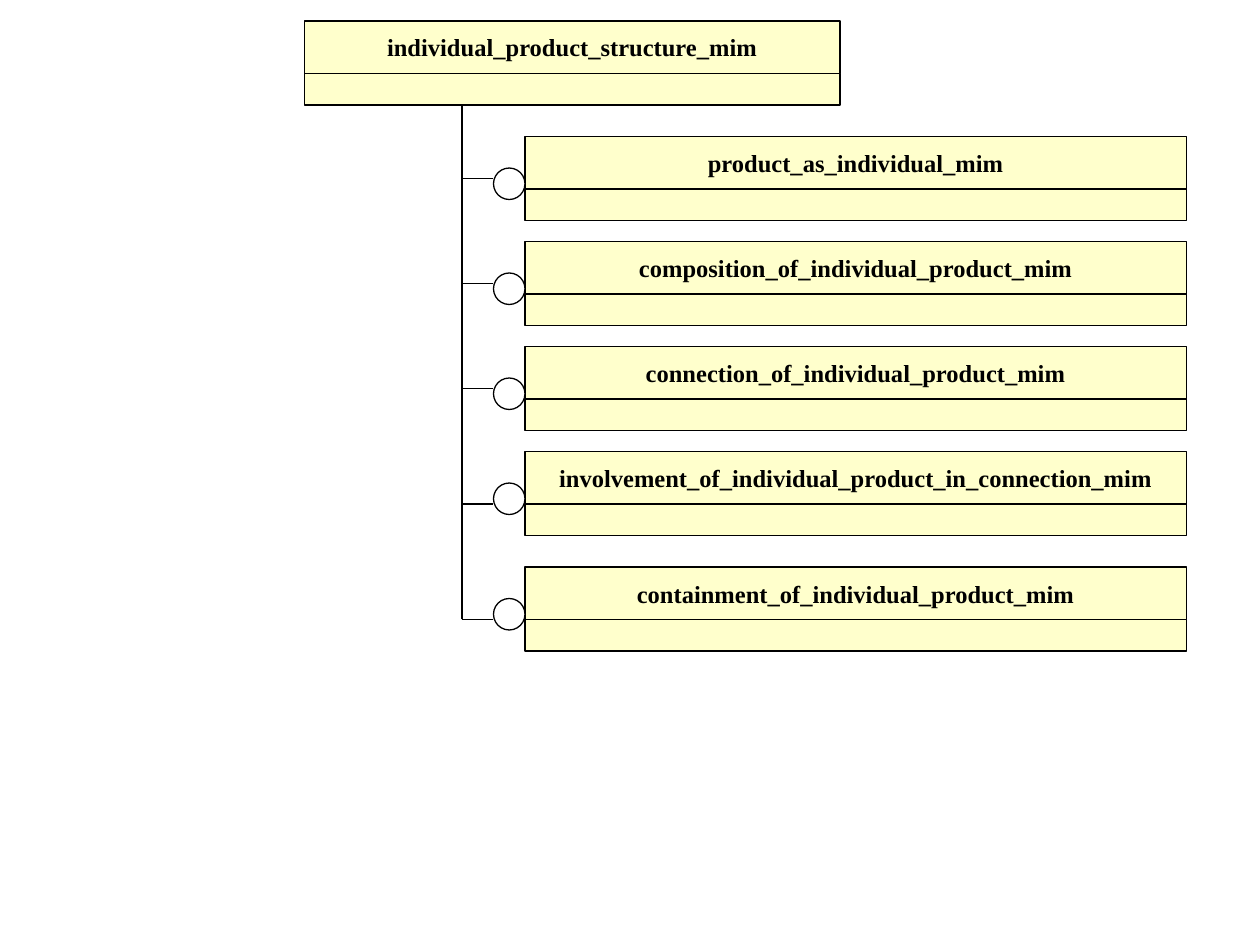
import pptx
import pptx.dml.color
import pptx.enum.shapes
import pptx.enum.text
import pptx.oxml.ns
import pptx.util
from lxml import etree

RGBColor = pptx.dml.color.RGBColor
Cm = pptx.util.Cm
MSO_SHAPE = pptx.enum.shapes.MSO_SHAPE

BLACK = RGBColor(0x00, 0x00, 0x00)
WHITE = RGBColor(0xFF, 0xFF, 0xFF)
YELLOW = RGBColor(0xFF, 0xFF, 0xCC)

# Diagram grid, in steps of a twelfth of an inch
HEAD_H, BODY_H = 5, 3
ROOT = ("individual_product_structure_mim", 29, 2, 51)
CHILD_X, CHILD_W = 50, 63
TRUNK_X, TRUNK_TOP = 44, 10
CIRCLE_D, CIRCLE_DROP = 3, 3

# Name, top of the box, height of its branch line
CHILDREN = [
    ("product_as_individual_mim", 13, 17),
    ("composition_of_individual_product_mim", 23, 27),
    ("connection_of_individual_product_mim", 33, 37),
    ("involvement_of_individual_product_in_connection_mim", 43, 48),
    ("containment_of_individual_product_mim", 54, 59),
]


def grid(n):
    return Cm(n * 2.54 / 12)


def add_outlined(shapes, kind, x, y, w, h, fill):
    sp = shapes.add_shape(kind, grid(x), grid(y), grid(w), grid(h))
    sp.shadow.inherit = False
    sp.fill.solid()
    sp.fill.fore_color.rgb = fill
    sp.line.color.rgb = BLACK
    sp.line.width = pptx.util.Pt(0.75)
    return sp


def add_module(slide, name, x, y, w):
    """A named header with an empty compartment below, as one group."""
    shapes = slide.shapes.add_group_shape().shapes
    head = add_outlined(shapes, MSO_SHAPE.RECTANGLE, x, y, w, HEAD_H, YELLOW)
    add_outlined(shapes, MSO_SHAPE.RECTANGLE, x, y + HEAD_H, w, BODY_H, YELLOW)
    tf = head.text_frame
    tf.word_wrap = False
    tf.vertical_anchor = pptx.enum.text.MSO_ANCHOR.MIDDLE
    p = tf.paragraphs[0]
    p.alignment = pptx.enum.text.PP_ALIGN.CENTER
    r = p.add_run()
    r.text = name
    r.font.name = "Times New Roman"
    r.font.size = pptx.util.Pt(14)
    r.font.bold = True
    r.font.color.rgb = BLACK


def add_line(slide, x1, y1, x2, y2):
    cxn = slide.shapes.add_connector(
        pptx.enum.shapes.MSO_CONNECTOR.STRAIGHT,
        grid(x1), grid(y1), grid(x2), grid(y2))
    cxn.line.color.rgb = BLACK
    cxn.line.width = pptx.util.Pt(0.75)
    etree.SubElement(cxn._element.spPr, pptx.oxml.ns.qn("a:effectLst"))


def main():
    prs = pptx.Presentation()
    prs.slide_width, prs.slide_height = Cm(25.4), Cm(19.05)
    slide = prs.slides.add_slide(prs.slide_layouts[6])

    # Root module and trunk
    add_module(slide, *ROOT)
    add_line(slide, TRUNK_X, CHILDREN[-1][2], TRUNK_X, TRUNK_TOP)

    # Child modules, each with its circle and branch
    circle_x = CHILD_X - CIRCLE_D
    for name, top, branch_y in CHILDREN:
        add_module(slide, name, CHILD_X, top, CHILD_W)
        add_outlined(slide.shapes, MSO_SHAPE.OVAL, circle_x, top + CIRCLE_DROP,
                     CIRCLE_D, CIRCLE_D, WHITE)
        add_line(slide, TRUNK_X, branch_y, circle_x, branch_y)

    prs.save("out.pptx")


if __name__ == "__main__":
    main()
